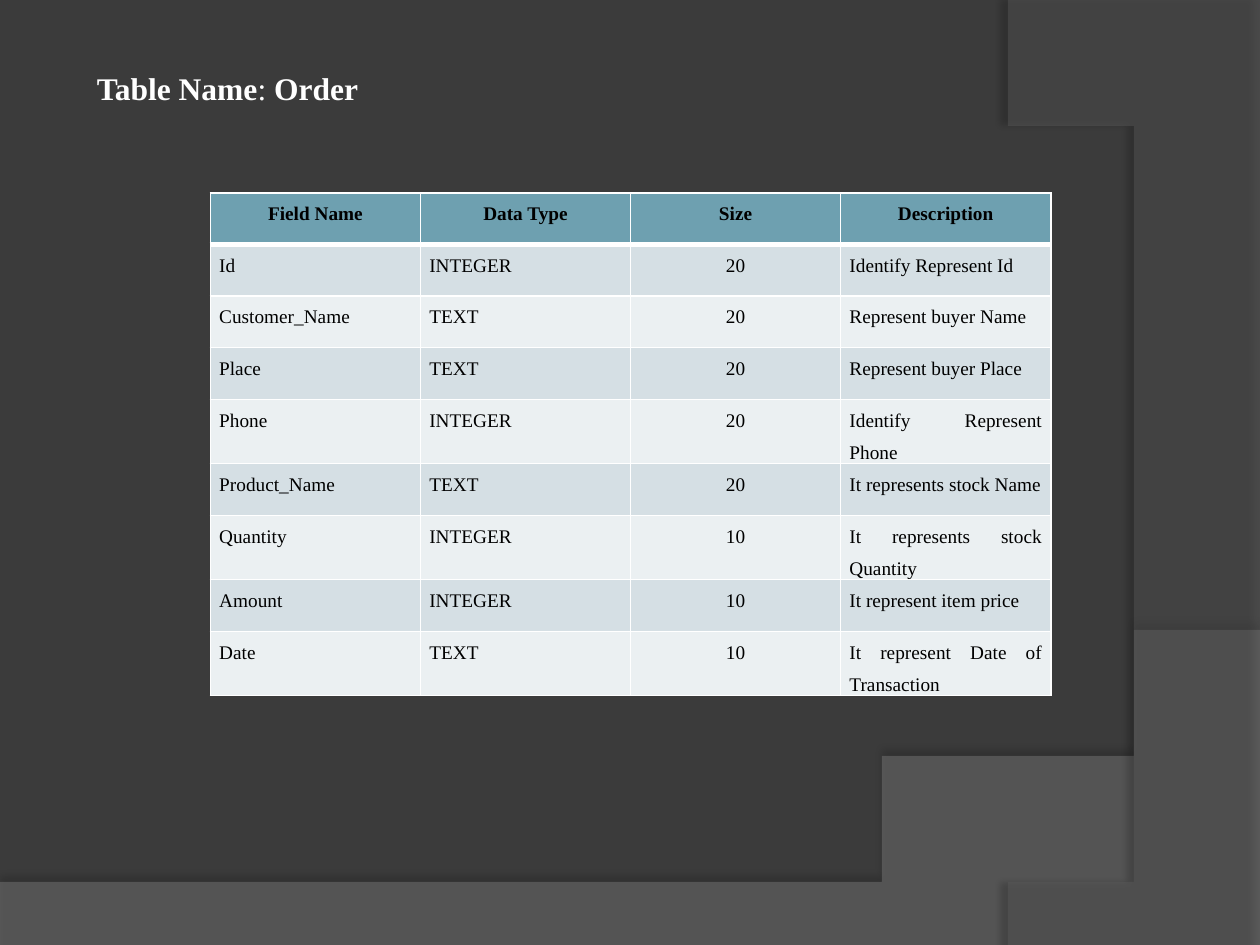
from lxml.etree import SubElement
from pptx import Presentation
from pptx.dml.color import RGBColor
from pptx.enum.text import MSO_ANCHOR, PP_ALIGN
from pptx.oxml.ns import qn
from pptx.util import Inches, Pt

FONT = "Times New Roman"
HEAD = ["Field Name", "Data Type", "Size", "Description"]
ROWS = [
    ("Id", "INTEGER", "20", "Identify Represent Id"),
    ("Customer_Name", "TEXT", "20", "Represent buyer Name"),
    ("Place", "TEXT", "20", "Represent buyer Place"),
    ("Phone", "INTEGER", "20", "Identify Represent Phone"),
    ("Product_Name", "TEXT", "20", "It represents stock Name"),
    ("Quantity", "INTEGER", "10", "It represents stock Quantity"),
    ("Amount", "INTEGER", "10", "It represent item price"),
    ("Date", "TEXT", "10", "It represent Date of Transaction"),
]
TITLE = [("Table Name", True), (": ", False), ("Order", True)]
BANDS = ["D5DFE4", "EBF0F2"]


def paint(fill, color):
    fill.solid()
    fill.fore_color.rgb = RGBColor.from_string(color)


def write(para, text, size=11, color="000000", bold=False,
          align=PP_ALIGN.JUSTIFY, space=None):
    para.alignment = align
    para.line_spacing = space
    run = para.add_run()
    run.text = text
    font = run.font
    font.name, font.size, font.bold = FONT, Pt(size), bold
    font.color.rgb = RGBColor.from_string(color)


def tint(parent, color, alpha=100):
    node = SubElement(parent, qn("a:srgbClr"), val=color)
    SubElement(node, qn("a:alpha"), val=str(alpha * 1000))


def curve(a, b, c, d, steps=60):
    """Points along a cubic curve from a to d."""
    points = []
    for i in range(steps + 1):
        t = i / steps
        u = 1 - t
        points.append(tuple(
            u**3 * p + 3 * u * u * t * q + 3 * u * t * t * r + t**3 * s
            for p, q, r, s in zip(a, b, c, d)))
    return points


def wave(points, color, alpha, shade, dist, angle):
    form = slide.shapes.build_freeform(*points[0], scale=Inches(1))
    form.add_line_segments(points[1:], close=True)
    shape = form.convert_to_shape()
    paint(shape.fill, color)
    shape.line.fill.background()
    rgb = shape.element.spPr.find(qn("a:solidFill"))[0]
    SubElement(rgb, qn("a:alpha"), val=str(alpha * 1000))
    # Soft edge shadow
    shape.shadow.inherit = False
    glow = SubElement(shape.element.spPr.find(qn("a:effectLst")),
                      qn("a:outerShdw"), blurRad=str(Pt(4)),
                      dist=str(Pt(dist)), dir=str(angle * 60000),
                      algn="ctr", rotWithShape="0")
    tint(glow, "000000", shade)


def border(cell, **widths):
    props = cell._tc.get_or_add_tcPr()
    for side, width in widths.items():
        line = SubElement(props, qn("a:ln" + side), w=str(Pt(width)))
        tint(SubElement(line, qn("a:solidFill")), "FFFFFF")


deck = Presentation()
deck.slide_width, deck.slide_height = Inches(10), Inches(7.5)
slide = deck.slides.add_slide(deck.slide_layouts[6])
paint(slide.background.fill, "3B3B3B")

# Background waves
wave([(0, 7.51), (10, 7.51)]
     + curve((10, 5.2), (5.59, 7.29), (3.91, 7.19), (0, 7.05)),
     "7F7F7F", 45, 35, 3.5, 270)
wave([(10, 0.02), (10, 7.5)]
     + curve((8.21, 7.5), (9.35, 6.19), (10.18, 3), (8, 0)),
     "5E5E5E", 40, 45, 4, 180)

# Field table
table = slide.shapes.add_table(
    len(ROWS) + 1, len(HEAD), Inches(1.67), Inches(1.53),
    Inches(6.67), Inches(0.41 * (len(ROWS) + 1))).table
for r, row in enumerate([HEAD, *ROWS]):
    for c, text in enumerate(row):
        cell = table.cell(r, c)
        cell.margin_left = cell.margin_right = Inches(0.07)
        cell.margin_top = cell.margin_bottom = 0
        mid = r == 0 or c == 2
        write(cell.text_frame.paragraphs[0], text, bold=r == 0, space=1.5,
              align=PP_ALIGN.CENTER if mid else PP_ALIGN.JUSTIFY)
        border(cell, L=1, R=1, T=3 if r == 1 else 1, B=3 if r == 0 else 1)
        paint(cell.fill, BANDS[(r - 1) % 2] if r else "6EA0B0")

# Title
box = slide.shapes.add_textbox(Inches(0.67), Inches(0.5),
                               Inches(2.42), Inches(0.4))
frame = box.text_frame
frame.word_wrap = False
frame.vertical_anchor = MSO_ANCHOR.MIDDLE
for text, bold in TITLE:
    write(frame.paragraphs[0], text, size=18, color="FFFFFF", bold=bold)

deck.save("out.pptx")
